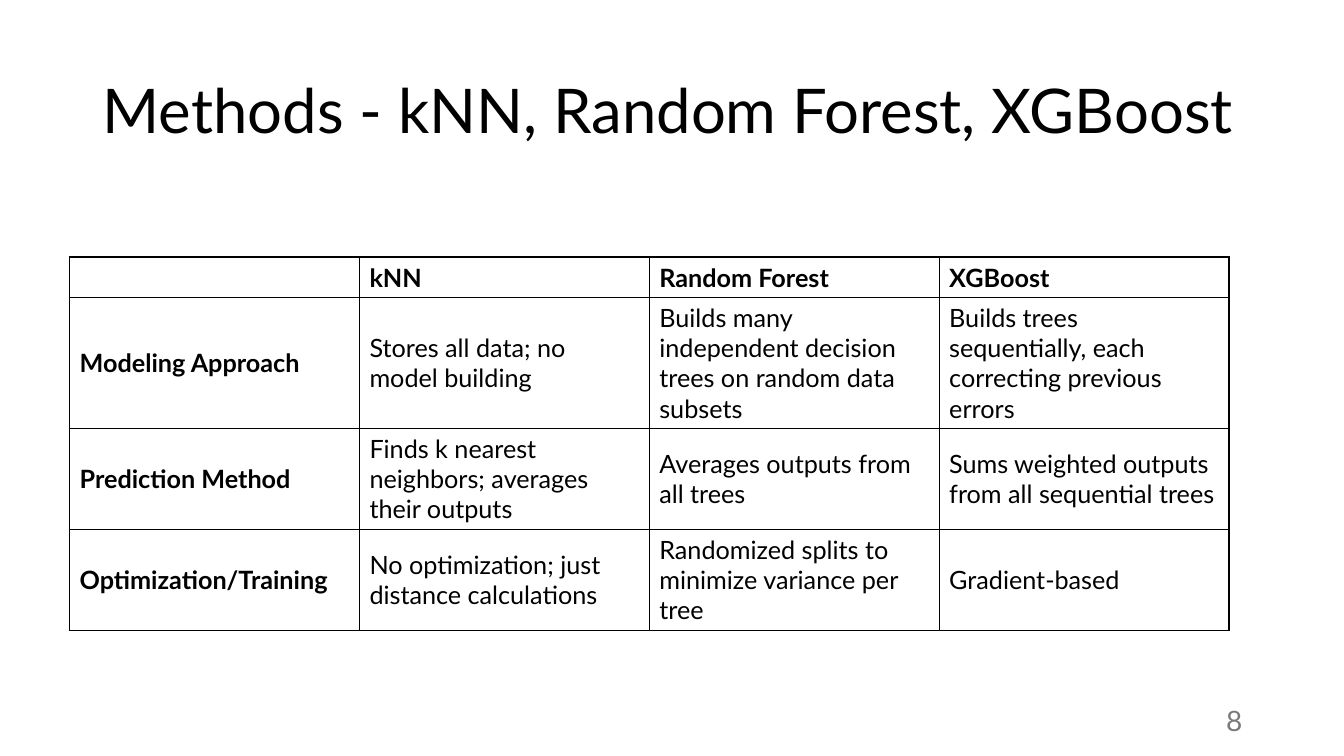
import pptx
import pptx.dml.color
import pptx.enum.text
import pptx.oxml.ns
import pptx.util
from lxml import etree

Inches = pptx.util.Inches
Pt = pptx.util.Pt
Align = pptx.enum.text.PP_ALIGN
Anchor = pptx.enum.text.MSO_ANCHOR
qn = pptx.oxml.ns.qn

COLORS = {"text": "000000", "border": "000000", "page_number": "797979"}

METHODS = [
    ["", "kNN", "Random Forest", "XGBoost"],
    ["Modeling Approach", "Stores all data; no model building",
     "Builds many independent decision trees on random data subsets",
     "Builds trees sequentially, each correcting previous errors"],
    ["Prediction Method", "Finds k nearest neighbors; averages their outputs",
     "Averages outputs from all trees",
     "Sums weighted outputs from all sequential trees"],
    ["Optimization/Training", "No optimization; just distance calculations",
     "Randomized splits to minimize variance per tree", "Gradient-based"],
]
ROW_HEIGHTS = [0.4, 1.3, 1, 1]


class SlideBuilder:
    font = "Lato"
    border_width = Pt(1)

    def __init__(self, slide):
        self.slide = slide

    def add_run(self, paragraph, text, size, color="text", bold=False):
        run = paragraph.add_run()
        run.text = text
        run.font.name = self.font
        run.font.size = Pt(size)
        run.font.bold = bold
        run.font.color.rgb = pptx.dml.color.RGBColor.from_string(COLORS[color])

    def add_text(self, box, text, size, color="text", align=Align.LEFT, line_spacing=1.0):
        shape = self.slide.shapes.add_textbox(*map(Inches, box))
        frame = shape.text_frame
        frame.word_wrap = True
        frame.vertical_anchor = Anchor.MIDDLE
        paragraph = frame.paragraphs[0]
        paragraph.alignment = align
        paragraph.line_spacing = line_spacing
        self.add_run(paragraph, text, size, color)

    def set_borders(self, cell):
        properties = cell._tc.get_or_add_tcPr()
        for side in ("a:lnL", "a:lnR", "a:lnT", "a:lnB"):
            line = etree.SubElement(properties, qn(side), w=str(self.border_width))
            fill = etree.SubElement(line, qn("a:solidFill"))
            etree.SubElement(fill, qn("a:srgbClr"), val=COLORS["border"])

    def add_table(self, left, top, width, row_heights, rows, size):
        """Add a bordered table with bold first row and first column."""
        column_count = len(rows[0])
        table = self.slide.shapes.add_table(
            len(rows), column_count, Inches(left), Inches(top),
            Inches(width), Inches(sum(row_heights))).table
        table.horz_banding = False
        table.first_row = False
        for column in table.columns:
            column.width = Inches(width / column_count)
        for row_index, (height, texts) in enumerate(zip(row_heights, rows)):
            table.rows[row_index].height = Inches(height)
            for column_index, text in enumerate(texts):
                cell = table.cell(row_index, column_index)
                cell.vertical_anchor = Anchor.MIDDLE
                self.set_borders(cell)
                cell.fill.background()
                if text:
                    is_heading = row_index == 0 or column_index == 0
                    self.add_run(cell.text_frame.paragraphs[0], text, size, bold=is_heading)


def main():
    presentation = pptx.Presentation()
    presentation.slide_width = Inches(13.33)
    presentation.slide_height = Inches(7.5)
    builder = SlideBuilder(presentation.slides.add_slide(presentation.slide_layouts[6]))
    builder.add_text((0.92, 0.4, 11.5, 1.45), "Methods - kNN, Random Forest, XGBoost",
                     44, line_spacing=0.9)
    builder.add_text((9.42, 6.95, 3, 0.4), "8", 20, "page_number", Align.RIGHT)
    builder.add_table(0.69, 2.55, 11.5, ROW_HEIGHTS, METHODS, 18)
    presentation.save("out.pptx")


if __name__ == "__main__":
    main()
